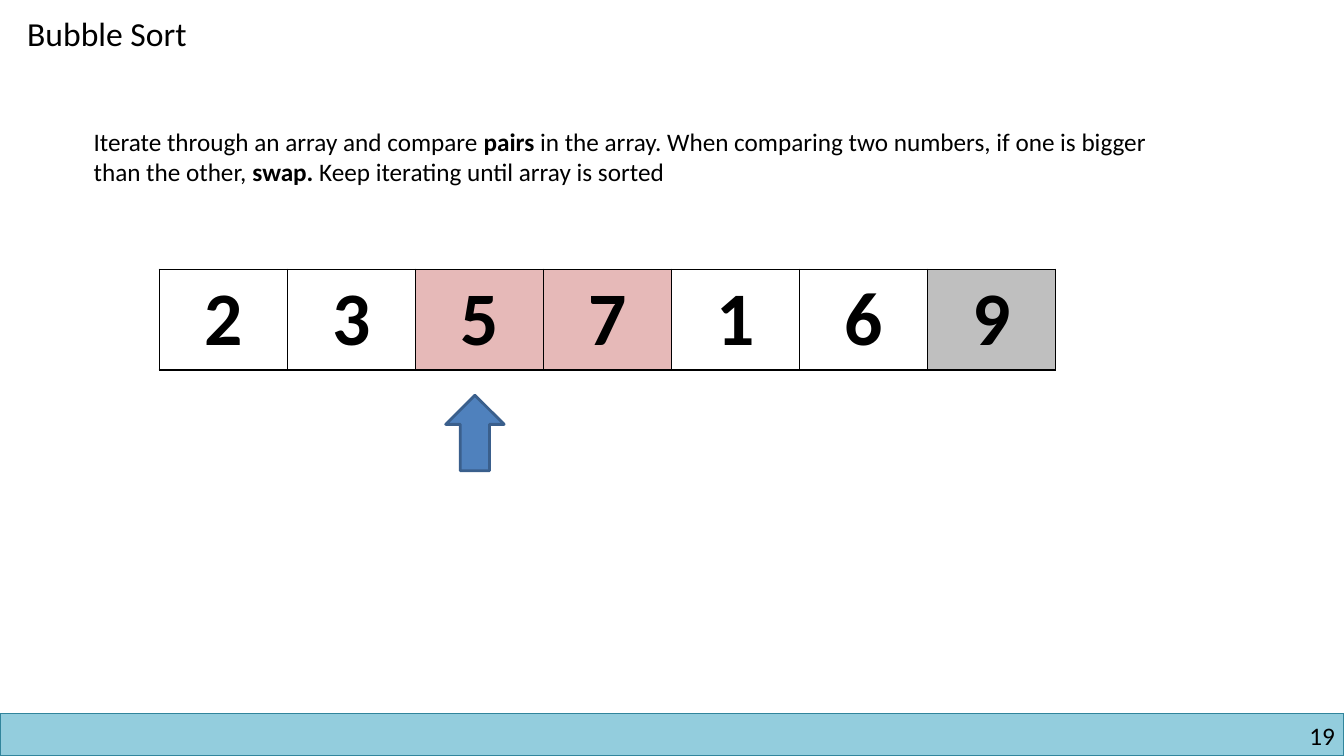
from dataclasses import dataclass

import lxml.etree
import pptx
import pptx.dml.color
import pptx.enum.shapes
import pptx.enum.text
import pptx.oxml.ns
import pptx.util

Inches = pptx.util.Inches
Pt = pptx.util.Pt
qn = pptx.oxml.ns.qn


@dataclass(frozen=True)
class Theme:
    font: str = "Calibri"
    ink: str = "000000"
    paper: str = "FFFFFF"
    compared: str = "E6B9B8"
    settled: str = "BFBFBF"
    pointer: str = "4F81BD"
    pointer_edge: str = "3A5F8C"
    band: str = "93CDDD"
    band_edge: str = "31859C"
    title_size: int = 24
    body_size: int = 18
    number_size: int = 54


THEME = Theme()
PARTS = pptx.enum.shapes.MSO_SHAPE
ALIGN = pptx.enum.text.PP_ALIGN
ANCHOR = pptx.enum.text.MSO_ANCHOR


def rgb(value):
    return pptx.dml.color.RGBColor.from_string(value)


def place(part, box):
    part.left, part.top, part.width, part.height = map(Inches, box)


def write(paragraph, text, size, bold=False):
    run = paragraph.add_run()
    run.text = text
    run.font.name = THEME.font
    run.font.size = Pt(size)
    run.font.bold = bold
    run.font.color.rgb = rgb(THEME.ink)


def add_filled(slide, kind, box, fill, edge, weight):
    part = slide.shapes.add_shape(kind, *map(Inches, box))
    part.shadow.inherit = False
    part.fill.solid()
    part.fill.fore_color.rgb = rgb(fill)
    part.line.color.rgb = rgb(edge)
    part.line.width = Pt(weight)


def add_footer(slide, box, page):
    left, top, width, height = box
    add_filled(slide, PARTS.RECTANGLE, box, THEME.band, THEME.band_edge, 1)
    number = slide.shapes.add_textbox(
        *map(Inches, (left + width - 3.16, top + 0.07, 3.07, 0.3))
    )
    frame = number.text_frame
    frame.word_wrap = True
    frame.margin_left = frame.margin_right = 0
    frame.margin_top = frame.margin_bottom = 0
    frame.paragraphs[0].alignment = ALIGN.RIGHT
    write(frame.paragraphs[0], page, THEME.body_size)


def add_title(slide, box, text):
    title = slide.shapes.title
    place(title, box)
    frame = title.text_frame
    frame.word_wrap = False
    frame.auto_size = pptx.enum.text.MSO_AUTO_SIZE.NONE
    frame.vertical_anchor = ANCHOR.TOP
    frame.paragraphs[0].alignment = ALIGN.LEFT
    write(frame.paragraphs[0], text, THEME.title_size)


def add_explanation(slide, box, phrases):
    explanation = slide.shapes.add_textbox(*map(Inches, box))
    explanation.text_frame.word_wrap = True
    for text, bold in phrases:
        write(explanation.text_frame.paragraphs[0], text, THEME.body_size, bold)


def add_borders(cell):
    properties = cell._tc.get_or_add_tcPr()
    for side in ("a:lnL", "a:lnR", "a:lnT", "a:lnB"):
        border = lxml.etree.SubElement(properties, qn(side), w=str(Pt(1)))
        fill = lxml.etree.SubElement(border, qn("a:solidFill"))
        lxml.etree.SubElement(fill, qn("a:srgbClr"), val=THEME.ink)


def add_array(slide, box, values, fills):
    array = slide.shapes.add_table(1, len(values), *map(Inches, box)).table
    array.first_row = False
    array.horz_banding = False
    for index, value in enumerate(values):
        array.columns[index].width = Inches(box[2] / len(values))
        cell = array.cell(0, index)
        cell.margin_top = cell.margin_bottom = Inches(0.04)
        cell.vertical_anchor = ANCHOR.MIDDLE
        add_borders(cell)
        cell.fill.solid()
        cell.fill.fore_color.rgb = rgb(fills.get(index, THEME.paper))
        paragraph = cell.text_frame.paragraphs[0]
        paragraph.alignment = ALIGN.CENTER
        write(paragraph, str(value), THEME.number_size, True)


def add_pointer(slide, box):
    add_filled(slide, PARTS.UP_ARROW, box, THEME.pointer, THEME.pointer_edge, 2)


def main():
    deck = pptx.Presentation()
    deck.slide_width = Inches(13.33)
    deck.slide_height = Inches(7.5)
    slide = deck.slides.add_slide(deck.slide_layouts[5])
    add_footer(slide, (0, 7.08, 13.33, 0.42), "19")
    add_title(slide, (0.17, 0.08, 1.96, 0.5), "Bubble Sort")
    add_explanation(slide, (0.83, 1.2, 11.08, 0.71), [
        ("Iterate through an array and compare ", False),
        ("pairs", True),
        (" in the array. When comparing two numbers, if one is bigger "
         "than the other, ", False),
        ("swap. ", True),
        ("Keep iterating until array is sorted", False),
    ])
    add_array(
        slide, (1.58, 2.67, 8.89, 1), [2, 3, 5, 7, 1, 6, 9],
        {2: THEME.compared, 3: THEME.compared, 6: THEME.settled},
    )
    add_pointer(slide, (4.42, 3.92, 0.58, 0.75))
    deck.save("out.pptx")


if __name__ == "__main__":
    main()
